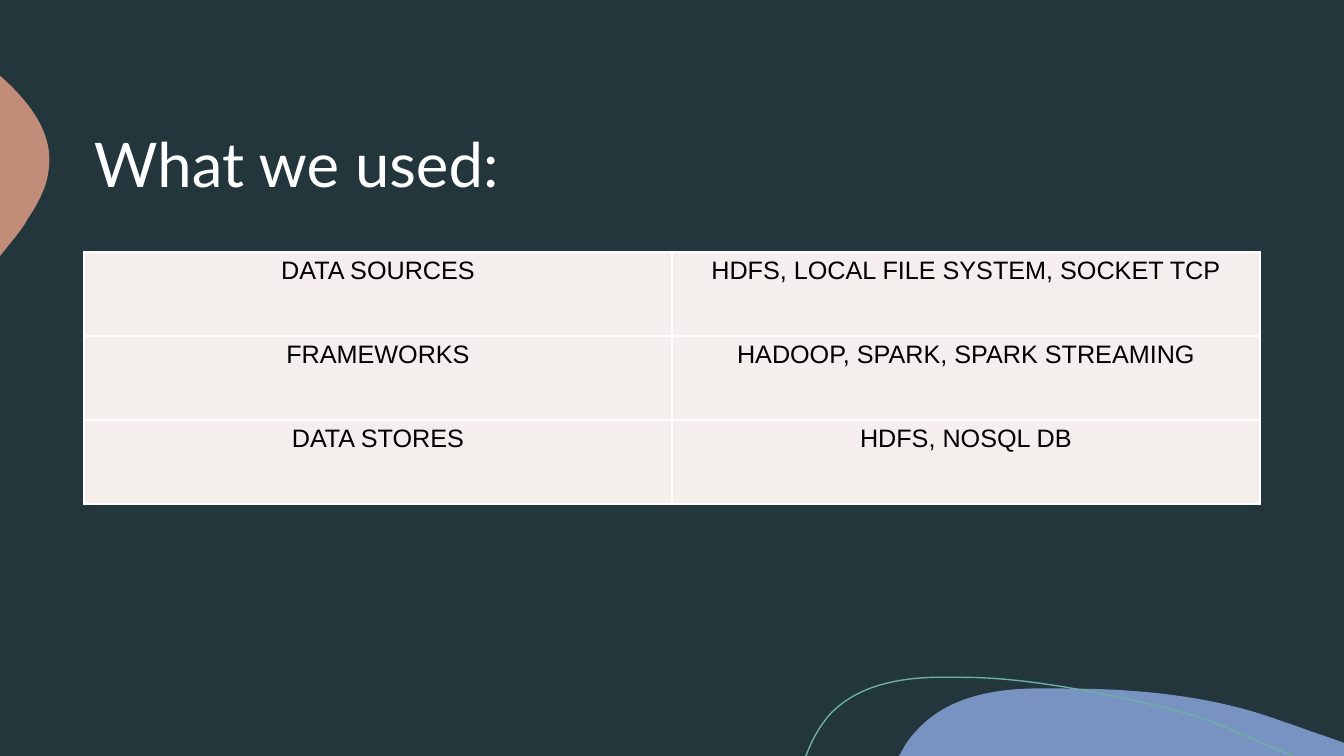
from lxml.etree import SubElement
from pptx import Presentation
from pptx.dml.color import RGBColor as RGB
from pptx.enum.text import MSO_ANCHOR as Anchor, PP_ALIGN as Align
from pptx.oxml.ns import qn
from pptx.util import Pt

DARK = RGB(0x22, 0x36, 0x3C)
BLUE = RGB(0x78, 0x93, 0xC1)
CLAY = RGB(0xC1, 0x8C, 0x78)
GREEN = RGB(0x6D, 0xAF, 0xA2)
PALE = RGB(0xF4, 0xEE, 0xEC)
WHITE = RGB(0xFF, 0xFF, 0xFF)
BLACK = RGB(0, 0, 0)

TITLE = "What we used:"
ROWS = [
    ("DATA SOURCES", "HDFS, LOCAL FILE SYSTEM, SOCKET TCP"),
    ("FRAMEWORKS", "HADOOP, SPARK, SPARK STREAMING"),
    ("DATA STORES", "HDFS, NOSQL DB"),
]

HILL = [
    [(758.9, 491.8)],
    [(812.2, 491.8), (866.9, 496.8), (916.6, 515.5)],
    [(925.9, 518.4), (934.6, 522), (943.9, 524.9)],
    [(960, 530.6)], [(960, 540)], [(642.2, 540)], [(646.6, 532.1)],
    [(649.4, 527.8), (652.3, 524.2), (655.9, 520.6)],
    [(676.1, 499), (707, 492.5), (736.6, 491.8)],
    [(743.8, 491.8), (751, 491.8), (758.9, 491.8)],
]
BUMP = [
    [(0, 54)], [(0.7, 54.7)],
    [(21.6, 73.4), (38.9, 95.8), (34.6, 122.4)],
    [(33.1, 134.6), (26.6, 146.2), (19.4, 157)],
    [(17.3, 161.3), (12.2, 167.8), (5.8, 175.7)],
    [(0, 182.9)],
]
WAVE = [
    [(575.3, 540)], [(576, 539.3)],
    [(580.3, 527.8), (586.1, 517.7), (593.3, 509.8)],
    [(612, 490.3), (640.1, 484.6), (666.7, 483.8)],
    [(687.6, 483.8)],
    [(735.8, 483.8), (792, 496.1), (831.6, 505.4)],
    [(870.5, 514.8), (882.7, 523.4), (923.8, 540)],
]
LEFT, WIDE = 60, 840
TOP, HIGH = 180, 60


def bend(shape, steps):
    marks = list(shape._element.iter(qn("a:lnTo")))
    for mark, step in zip(marks, steps):
        if len(step) == 3:
            mark.tag = qn("a:cubicBezTo")
            for spot, (x, y) in enumerate(step[:2]):
                dot = SubElement(mark, qn("a:pt"), x=str(Pt(x) - shape.left),
                                 y=str(Pt(y) - shape.top))
                mark.insert(spot, dot)


def draw(slide, steps, fill=None, line=None):
    first, *rest = [(Pt(x), Pt(y)) for x, y in (step[-1] for step in steps)]
    pen = slide.shapes.build_freeform(*first)
    pen.add_line_segments(rest, close=fill is not None)
    shape = pen.convert_to_shape()
    bend(shape, steps[1:])
    shape.shadow.inherit = False
    if fill is None:
        shape.fill.background()
        shape.line.color.rgb = line
        shape.line.width = Pt(1)
    else:
        shape.fill.solid()
        shape.fill.fore_color.rgb = fill
        shape.line.fill.background()


def style(para, font, size, color):
    for run in para.runs:
        run.font.name = font
        run.font.size = Pt(size)
        run.font.color.rgb = color


def edge(cell):
    props = cell._tc.get_or_add_tcPr()
    for spot, side in enumerate(("lnL", "lnR", "lnT", "lnB")):
        line = SubElement(props, qn("a:" + side), w=str(Pt(1)))
        paint = SubElement(line, qn("a:solidFill"))
        SubElement(paint, qn("a:srgbClr"), val=str(WHITE))
        props.insert(spot, line)


def main():
    deck = Presentation()
    deck.slide_width, deck.slide_height = Pt(960), Pt(540)
    slide = deck.slides.add_slide(deck.slide_layouts[6])
    slide.background.fill.solid()
    slide.background.fill.fore_color.rgb = DARK

    draw(slide, HILL, fill=BLUE)
    draw(slide, BUMP, fill=CLAY)
    draw(slide, WAVE, line=GREEN)

    box = slide.shapes.add_textbox(Pt(LEFT), Pt(60), Pt(WIDE), Pt(120))
    frame = box.text_frame
    frame.word_wrap = True
    frame.vertical_anchor = Anchor.MIDDLE
    frame.text = TITLE
    frame.paragraphs[0].line_spacing = 0.9
    style(frame.paragraphs[0], "Lato", 44, WHITE)

    count = len(ROWS)
    table = slide.shapes.add_table(
        count, 2, Pt(LEFT), Pt(TOP), Pt(WIDE), Pt(count * HIGH)).table
    table.first_row = table.horz_banding = False
    for r, row in enumerate(ROWS):
        for c, words in enumerate(row):
            cell = table.cell(r, c)
            cell.fill.solid()
            cell.fill.fore_color.rgb = PALE
            edge(cell)
            cell.text_frame.text = words
            para = cell.text_frame.paragraphs[0]
            para.alignment = Align.CENTER
            style(para, "Arial", 18, BLACK)

    deck.save("out.pptx")


if __name__ == "__main__":
    main()
